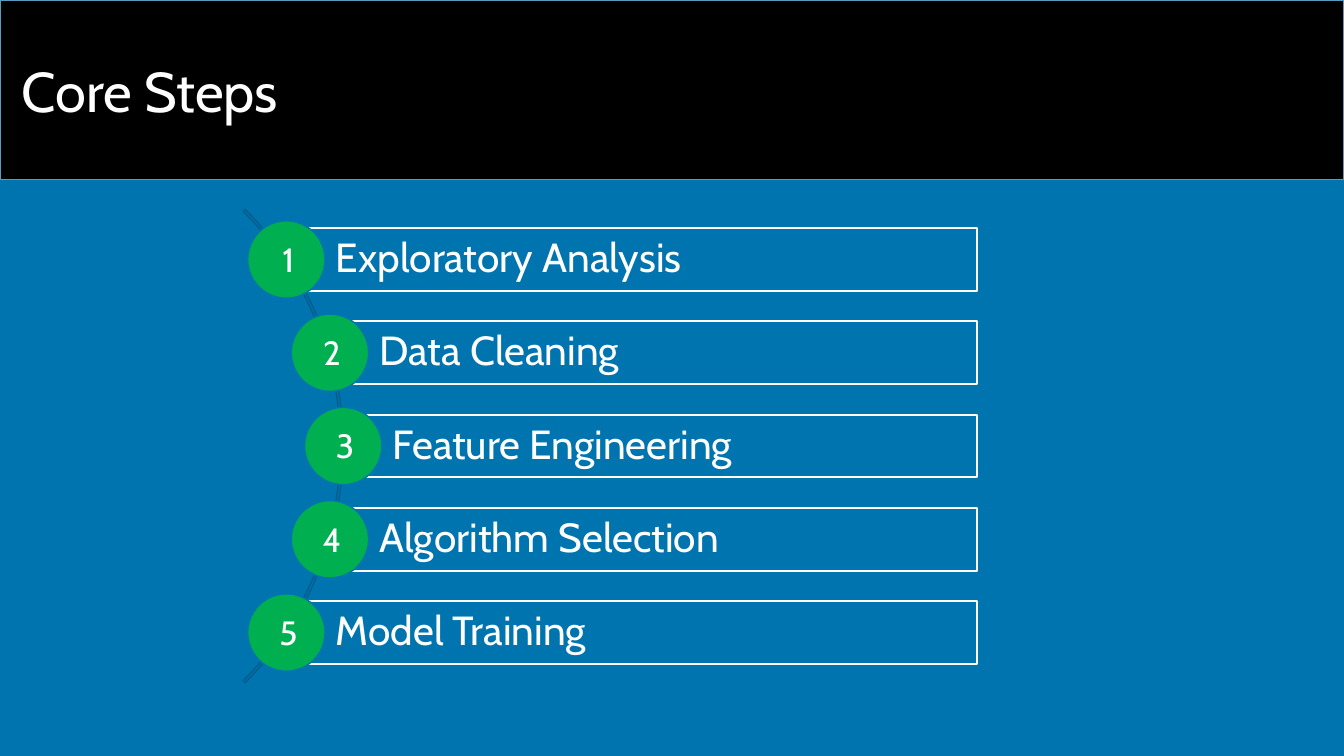
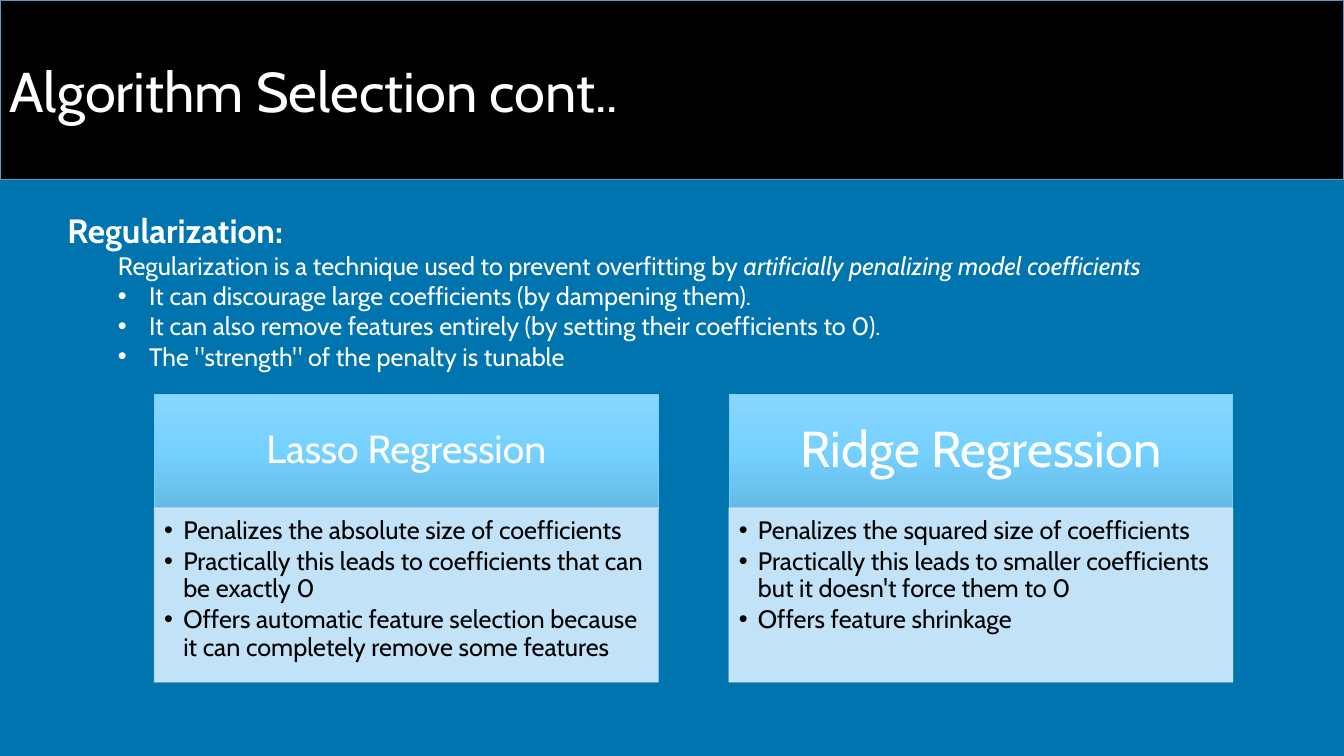
import dataclasses
import copy
import math
import lxml.etree
import pptx
import pptx.dml.color
import pptx.enum.shapes
import pptx.enum.text
import pptx.oxml.ns
import pptx.util

TITLES = ("Core Steps", "Algorithm Selection cont..")
STEPS = (
    "Exploratory Analysis",
    "Data Cleaning",
    "Feature Engineering",
    "Algorithm Selection",
    "Model Training",
)
TOPIC = "Regularization:"
LEAD = "Regularization is a technique used to prevent overfitting by "
STRESS = "artificially penalizing model coefficients"
POINTS = (
    "It can discourage large coefficients (by dampening them).",
    "It can also remove features entirely (by setting their coefficients to 0).",
    'The "strength" of the penalty is tunable',
)
CARDS = (
    ("Lasso Regression", 28, (
        "Penalizes the absolute size of coefficients",
        "Practically this leads to coefficients that can be exactly 0",
        "Offers automatic feature selection because it can completely remove some features",
    )),
    ("Ridge Regression", 36, (
        "Penalizes the squared size of coefficients",
        "Practically this leads to smaller coefficients but it doesn't force them to 0",
        "Offers feature shrinkage",
    )),
)


@dataclasses.dataclass(frozen=True)
class Theme:
    font: str = "Cabin"
    back: str = "0074AF"
    band: str = "000000"
    rim: str = "579BBD"
    light: str = "FFFFFF"
    dark: str = "000000"
    arc: str = "005D8C"
    disc: str = "00B050"
    edge: str = "75D1FF"
    pale: str = "D6EEFF"
    fade: tuple = ("89D6FF", "75D1FF", "66BAE5")
    title: int = 40
    step: int = 29
    head: int = 24
    text: int = 18


LOOK = Theme()
WIDE, HIGH, BAND = 33.87, 19.05, 4.52
Cm = pptx.util.Cm
Pt = pptx.util.Pt
SHAPE = pptx.enum.shapes.MSO_SHAPE
ALIGN = pptx.enum.text.PP_ALIGN
MID = pptx.enum.text.MSO_ANCHOR.MIDDLE
TOP = pptx.enum.text.MSO_ANCHOR.TOP
qn = pptx.oxml.ns.qn


def put(item, **vals):
    for key, val in vals.items():
        setattr(item, key, val)


def rgb(code):
    return pptx.dml.color.RGBColor.from_string(code)


def paint(shape, fill, line, width):
    if fill:
        shape.fill.solid()
        shape.fill.fore_color.rgb = rgb(fill)
    else:
        shape.fill.background()
    shape.line.color.rgb = rgb(line)
    shape.line.width = Pt(width)


def draw(slide, kind, box, fill, line, width):
    shape = slide.shapes.add_shape(kind, *map(Cm, box))
    shape.shadow.inherit = False
    paint(shape, fill, line, width)
    return shape


def frame(shape, pads=(0.25, 0.13, 0.25, 0.13), anchor=MID):
    text = shape.text_frame
    sides = ("margin_left", "margin_top", "margin_right", "margin_bottom")
    put(text, word_wrap=True, vertical_anchor=anchor,
        auto_size=pptx.enum.text.MSO_AUTO_SIZE.NONE,
        **dict(zip(sides, map(Cm, pads))))
    return text


def write(para, text, size, color=LOOK.light, **vals):
    run = para.add_run()
    run.text = text
    put(run.font, name=LOOK.font, size=Pt(size), **vals)
    run.font.color.rgb = rgb(color)


def shape_para(para, left=0, hang=0, mark=False, **vals):
    base = dict(alignment=ALIGN.LEFT, space_before=Pt(0), line_spacing=1.0)
    put(para, **{**base, **vals})
    props = para._p.get_or_add_pPr()
    props.set("marL", str(Cm(left)))
    props.set("indent", str(-Cm(hang)))
    if mark:
        lxml.etree.SubElement(props, qn("a:buFont")).set("typeface", "Arial")
        lxml.etree.SubElement(props, qn("a:buChar")).set("char", "•")
    else:
        lxml.etree.SubElement(props, qn("a:buNone"))


def label(shape, text, size, pads, align=ALIGN.LEFT):
    para = frame(shape, pads).paragraphs[0]
    shape_para(para, alignment=align, line_spacing=0.9)
    write(para, text, size)


def start(deck, layout, title, pad):
    slide = deck.slides.add_slide(deck.slide_layouts[layout])
    band = slide.shapes.title
    put(band, left=0, top=0, width=Cm(WIDE), height=Cm(BAND))
    paint(band, LOOK.band, LOOK.rim, 1)
    para = frame(band, (pad, 0.13, 0.25, 0.13)).paragraphs[0]
    shape_para(para)
    write(para, title, LOOK.title)
    return slide


def steps(deck):
    slide = start(deck, 5, TITLES[0], 0.55)
    mid_x, mid_y, radius = 0.22, 11.24, 8.43
    pitch, tall, disc, right = 2.35, 1.58, 1.95, 24.63
    arc = draw(slide, SHAPE.BLOCK_ARC,
               (mid_x - radius, mid_y - radius, 2 * radius, 2 * radius),
               None, LOOK.arc, 1)
    for spot, val in enumerate((189, 27, 0.004)):
        arc.adjustments[spot] = val
    for spot, name in enumerate(STEPS):
        drop = (spot - (len(STEPS) - 1) / 2) * pitch
        left = mid_x + math.sqrt(radius ** 2 - drop ** 2)
        line = mid_y + drop
        bar = draw(slide, SHAPE.RECTANGLE,
                   (left, line - tall / 2, right - left, tall),
                   LOOK.back, LOOK.light, 1.5)
        label(bar, name, LOOK.step, (1.25, 0.2, 0.2, 0.2))
        dot = draw(slide, SHAPE.OVAL,
                   (left - disc / 2, line - disc / 2, disc, disc),
                   LOOK.disc, LOOK.back, 1)
        label(dot, str(spot + 1), LOOK.head, (0.1, 0.1, 0, 0), ALIGN.CENTER)


def blend(shape):
    fill = shape.fill
    fill.gradient()
    fill.gradient_angle = 270
    first = shape._element.spPr.find(".//" + qn("a:gs"))
    first.addnext(copy.deepcopy(first))
    for spot, (stop, code) in enumerate(zip(fill.gradient_stops, LOOK.fade)):
        stop.color.rgb = rgb(code)
        stop.position = spot / 2


def veil(shape, share):
    for color in shape._element.spPr.iter(qn("a:srgbClr")):
        lxml.etree.SubElement(color, qn("a:alpha")).set("val", str(share * 1000))


def card(slide, left, name, size, notes):
    top, wide, cap, tall = 9.93, 12.7, 2.87, 4.39
    head = draw(slide, SHAPE.RECTANGLE, (left, top, wide, cap),
                LOOK.edge, LOOK.edge, 0.5)
    blend(head)
    label(head, name, size, (0.6, 0.35, 0.6, 0.35), ALIGN.CENTER)
    body = draw(slide, SHAPE.RECTANGLE, (left, top + cap, wide, tall),
                LOOK.pale, LOOK.pale, 0.5)
    veil(body, 90)
    text = frame(body, (0.25, 0.25, 0.35, 0.4), TOP)
    for spot, note in enumerate(notes):
        para = text.add_paragraph() if spot else text.paragraphs[0]
        shape_para(para, 0.48, 0.48, True, level=1, line_spacing=0.9,
                   space_after=Pt(2.7))
        write(para, note, LOOK.text, LOOK.dark)


def choice(deck):
    slide = start(deck, 1, TITLES[1], 0.25)
    body = slide.placeholders[1]
    put(body, left=Cm(1.45), top=Cm(5.16), width=Cm(30.68), height=Cm(4.6))
    text = frame(body, anchor=TOP)
    para = text.paragraphs[0]
    shape_para(para)
    write(para, TOPIC, LOOK.head, bold=True)
    para = text.add_paragraph()
    shape_para(para, 1.27, level=1)
    write(para, LEAD, LOOK.text)
    write(para, STRESS, LOOK.text, italic=True)
    for point in POINTS:
        para = text.add_paragraph()
        shape_para(para, 2.06, 0.79, True, level=1)
        write(para, point, LOOK.text)
    for spot, (name, size, notes) in enumerate(CARDS):
        card(slide, 3.89 + spot * 14.48, name, size, notes)


def main():
    deck = pptx.Presentation()
    put(deck, slide_width=Cm(WIDE), slide_height=Cm(HIGH))
    fill = deck.slide_master.background.fill
    fill.solid()
    fill.fore_color.rgb = rgb(LOOK.back)
    steps(deck)
    choice(deck)
    deck.save("out.pptx")


if __name__ == "__main__":
    main()
